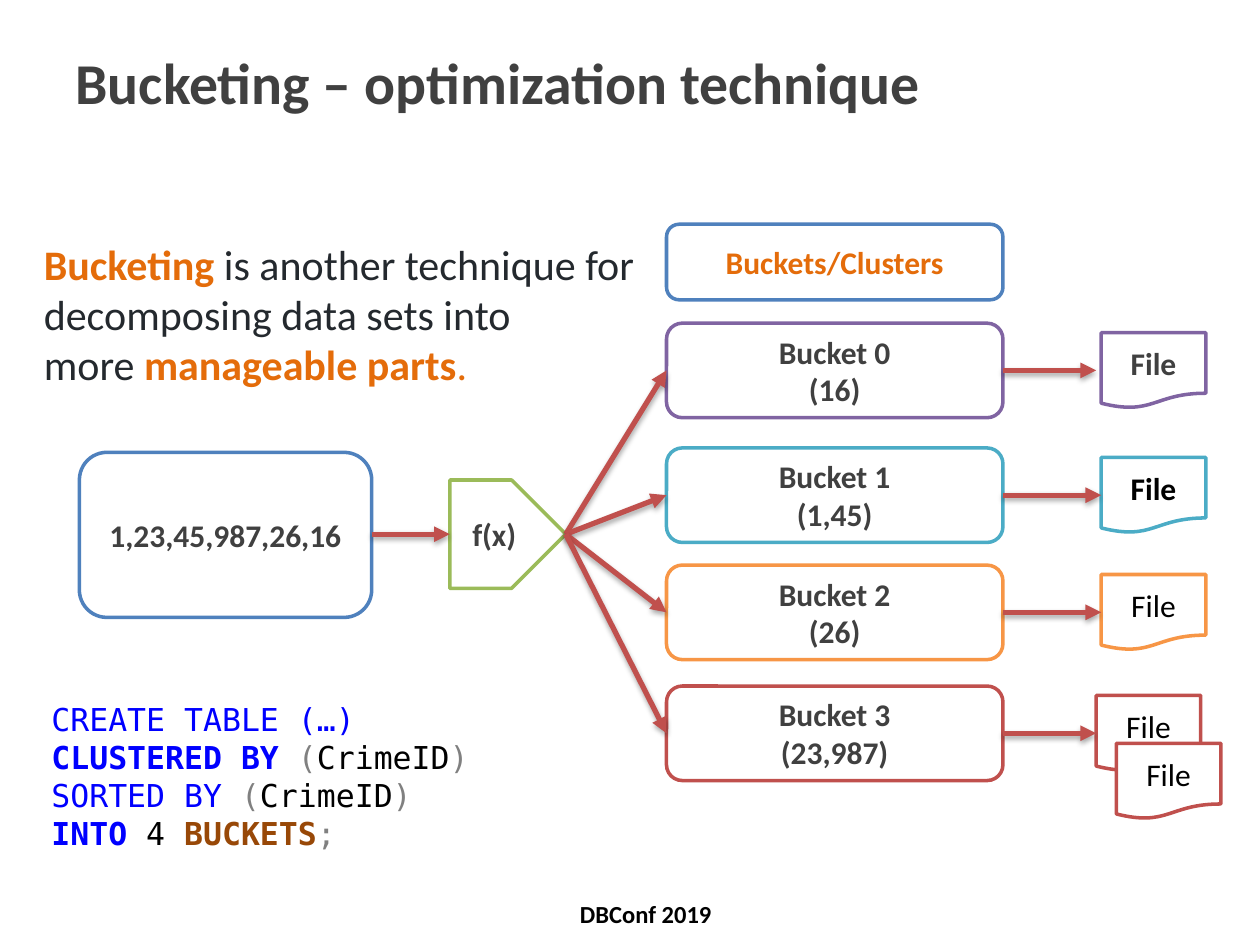
"""Build a slide that shows how bucketing splits values into files."""
from pptx import Presentation
from pptx.dml.color import RGBColor as Rgb
from pptx.enum.shapes import MSO_CONNECTOR as Con, MSO_SHAPE as Geo
from pptx.enum.text import MSO_ANCHOR as Anchor, PP_ALIGN as Align
from pptx.oxml import parse_xml
from pptx.oxml.ns import nsdecls
from pptx.util import Inches, Pt

HUES = {
    "dark": "404040", "black": "000000", "ink": "24292E", "white": "FFFFFF",
    "gray": "808080", "key": "0000FF", "brown": "984807", "pop": "E46C0A",
    "blue": "4F81BD", "plum": "8064A2", "teal": "4BACC6",
    "gold": "F79646", "red": "C0504D", "green": "9BBB59",
}
SHADE = (
    f'<a:effectLst {nsdecls("a")}><a:outerShdw blurRad="40000" dist="23000" '
    'dir="5400000" rotWithShape="0"><a:srgbClr val="000000">'
    '<a:alpha val="35000"/></a:srgbClr></a:outerShdw></a:effectLst>'
)
TIP = f'<a:tailEnd {nsdecls("a")} type="triangle"/>'


def hue(name):
    return Rgb.from_string(HUES[name])


class Deck:
    def __init__(self):
        self.prs = Presentation()
        self.prs.slide_width, self.prs.slide_height = Inches(10), Inches(7.5)
        self.slide = self.prs.slides.add_slide(self.prs.slide_layouts[5])
        self.shapes = self.slide.shapes

    def label(self, shape, rows, size, face="Calibri", align=Align.CENTER,
              anchor=Anchor.MIDDLE):
        frame = shape.text_frame
        for key, val in {"word_wrap": True, "vertical_anchor": anchor}.items():
            setattr(frame, key, val)
        for i, row in enumerate(rows):
            para = frame.add_paragraph() if i else frame.paragraphs[0]
            para.alignment = align
            for text, color, bold in row:
                run = para.add_run()
                run.text = text
                look = {"name": face, "size": Pt(size), "bold": bold}
                for key, val in look.items():
                    setattr(run.font, key, val)
                run.font.color.rgb = hue(color)

    def title(self, box, text):
        shape = self.shapes.title
        for key, val in zip(("left", "top", "width", "height"), box):
            setattr(shape, key, Inches(val))
        self.label(shape, [[(text, "dark", True)]], 33,
                   align=Align.LEFT, anchor=Anchor.TOP)

    def text(self, box, rows, size, **look):
        shape = self.shapes.add_textbox(*map(Inches, box))
        self.label(shape, rows, size, **look)

    def node(self, geo, box, edge, lines, color="dark", bold=True):
        shape = self.shapes.add_shape(geo, *map(Inches, box))
        shape.shadow.inherit = False
        shape.fill.solid()
        shape.fill.fore_color.rgb = hue("white")
        shape.line.color.rgb = hue(edge)
        shape.line.width = Pt(2)
        self.label(shape, [[(line, color, bold)] for line in lines], 18)

    def arrow(self, *ends):
        link = self.shapes.add_connector(Con.STRAIGHT, *map(Inches, ends))
        link.line.color.rgb = hue("red")
        link.line.width = Pt(3)
        props = link._element.spPr
        props.find("{*}ln").append(parse_xml(TIP))
        props.append(parse_xml(SHADE))


def main():
    deck = Deck()
    deck.title((0.5, 0.32, 9, 1.25), "Bucketing – optimization technique")
    deck.text((2.18, 7.04, 5.89, 0.42), [[("DBConf 2019", "black", True)]], 14)

    mid, left, wide, tall = 4.24, 5.29, 2.67, 0.75
    deck.node(Geo.ROUNDED_RECTANGLE, (0.63, 3.59, 2.32, 1.31), "blue",
              ["1,23,45,987,26,16"])
    deck.node(Geo.PENTAGON, (3.57, 3.81, 0.92, 0.86), "green", ["f(x)"])
    deck.node(Geo.ROUNDED_RECTANGLE, (left, 1.78, wide, 0.6), "blue",
              ["Buckets/Clusters"], "pop")
    deck.arrow(2.95, mid, 3.57, mid)

    buckets = [
        (2.94, "plum", "(16)", 8.7, 8.74, "dark", True),
        (3.93, "teal", "(1,45)", 8.74, 8.74, "black", True),
        (4.86, "gold", "(26)", 8.74, 8.74, "black", False),
        (5.82, "red", "(23,987)", 8.7, 8.7, "black", False),
    ]
    for i, (y, edge, vals, tip, x, color, bold) in enumerate(buckets):
        deck.node(Geo.ROUNDED_RECTANGLE, (left, y - tall / 2, wide, tall),
                  edge, [f"Bucket {i}", vals])
        deck.node(Geo.FLOWCHART_DOCUMENT, (x, y - 0.3, 0.83, 0.6),
                  edge, ["File"], color, bold)
        deck.arrow(4.49, mid, left, y)
        deck.arrow(left + wide, y, tip, y)
    deck.node(Geo.FLOWCHART_DOCUMENT, (8.86, 5.9, 0.83, 0.6), "red",
              ["File"], "black", False)

    flow = {"align": Align.LEFT, "anchor": Anchor.TOP}
    deck.text((0.25, 1.84, 5, 1.31), [
        [("Bucketing ", "pop", True),
         ("is another technique for decomposing data sets into", "ink", False)],
        [("more ", "ink", False), ("manageable parts", "pop", True),
         (".", "pop", False)],
    ], 24, **flow)

    field = [("(", "gray", False), ("CrimeID", "black", False),
             (")", "gray", False)]
    deck.text((0.31, 5.51, 5, 1.31), [
        [("CREATE TABLE (…)", "key", False)],
        [("CLUSTERED BY ", "key", True), *field],
        [("SORTED BY ", "key", False), *field],
        [("INTO", "key", True), (" 4 ", "black", False),
         ("BUCKETS", "brown", True), (";", "gray", False)],
    ], 18, face="DejaVu Sans Mono", **flow)
    deck.prs.save("out.pptx")


if __name__ == "__main__":
    main()
